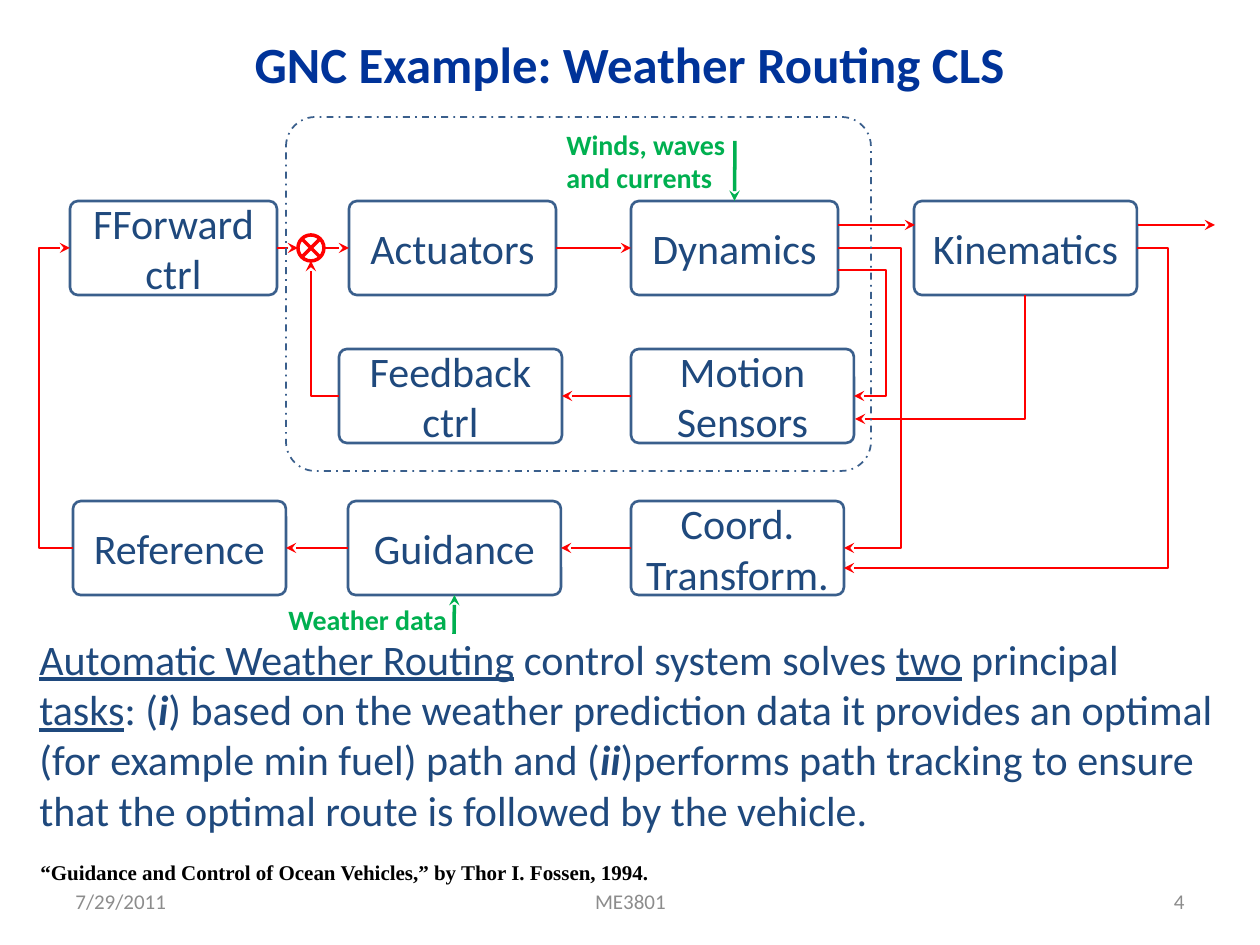
from dataclasses import dataclass
from typing import Optional

from lxml import etree
from pptx import Presentation
from pptx.dml.color import RGBColor
from pptx.enum.dml import MSO_LINE
from pptx.enum.shapes import MSO_CONNECTOR, MSO_SHAPE
from pptx.enum.text import MSO_ANCHOR, MSO_AUTO_SIZE, PP_ALIGN
from pptx.oxml.ns import qn
from pptx.util import Emu, Pt

STRAIGHT, ELBOW = MSO_CONNECTOR.STRAIGHT, MSO_CONNECTOR.ELBOW
ROUNDED, JUNCTION = MSO_SHAPE.ROUNDED_RECTANGLE, MSO_SHAPE.FLOWCHART_SUMMING_JUNCTION
DASH_DOT = MSO_LINE.DASH_DOT
LEFT, CENTER, RIGHT = PP_ALIGN.LEFT, PP_ALIGN.CENTER, PP_ALIGN.RIGHT
TOP, MIDDLE = MSO_ANCHOR.TOP, MSO_ANCHOR.MIDDLE
GROW, FIXED = MSO_AUTO_SIZE.SHAPE_TO_FIT_TEXT, MSO_AUTO_SIZE.NONE
ON_TOP, ON_LEFT, ON_BOTTOM, ON_RIGHT = range(4)
PX_PER_INCH = 126


@dataclass(frozen=True)
class Theme:
    font: str = "Calibri"
    serif: str = "Times New Roman"
    title: str = "003399"
    text: str = "1F497D"
    outline: str = "3A5F8C"
    signal: str = "FF0000"
    weather: str = "00B050"
    footer: str = "8C8C8C"
    citation: str = "000000"
    title_size: int = 29
    body_size: int = 24
    label_size: int = 16
    small_size: int = 12
    corner: float = 0.083


THEME = Theme()


@dataclass(frozen=True)
class Block:
    name: str
    left: int
    top: int
    width: int
    height: int = 94


@dataclass(frozen=True)
class Label:
    area: tuple
    spans: tuple  # (text, extra format) pairs
    size: int
    color: str
    align: int = LEFT
    anchor: int = TOP
    fit: int = GROW
    bold: bool = False
    font: str = THEME.font


@dataclass(frozen=True)
class Wire:
    start: tuple
    end: tuple
    source: Optional[tuple] = None  # (block name, side)
    target: Optional[tuple] = None
    via: Optional[int] = None  # x of the vertical run
    corner: bool = False  # one bend: horizontal, then vertical
    arrow: str = "a:tailEnd"
    color: str = THEME.signal
    weight: float = 1.25


def px(value: int) -> Emu:
    return Emu(round(value * 914400 / PX_PER_INCH))


def write(frame, label: Label) -> None:
    frame.word_wrap = True
    frame.vertical_anchor = label.anchor
    frame.auto_size = label.fit
    para = frame.paragraphs[0]
    para.alignment = label.align
    for text, extra in label.spans:
        span = para.add_run()
        span.text = text
        formats = {"name": label.font, "size": Pt(label.size), "bold": label.bold, **extra}
        for key, value in formats.items():
            setattr(span.font, key, value)
        span.font.color.rgb = RGBColor.from_string(label.color)


def draw_label(page, label: Label) -> None:
    box = page.shapes.add_textbox(*map(px, label.area))
    write(box.text_frame, label)


def draw_outline(page, kind, area: tuple, color: str, weight: float):
    box = page.shapes.add_shape(kind, *map(px, area))
    box.shadow.inherit = False
    box.fill.background()
    box.line.color.rgb = RGBColor.from_string(color)
    box.line.width = Pt(weight)
    if kind == ROUNDED:
        box.adjustments[0] = THEME.corner
    return box


def draw_block(page, block: Block):
    area = (block.left, block.top, block.width, block.height)
    box = draw_outline(page, ROUNDED, area, THEME.outline, 1.5)
    write(box.text_frame, Label(area, ((block.name, {}),), THEME.body_size, THEME.text,
                                CENTER, MIDDLE, FIXED))
    return box


def draw_wire(page, wire: Wire, boxes: dict) -> None:
    kind = ELBOW if wire.corner or wire.via is not None else STRAIGHT
    line = page.shapes.add_connector(kind, *map(px, wire.start + wire.end))
    if wire.source:
        line.begin_connect(boxes[wire.source[0]], wire.source[1])
    if wire.target:
        line.end_connect(boxes[wire.target[0]], wire.target[1])
    line.line.color.rgb = RGBColor.from_string(wire.color)
    line.line.width = Pt(wire.weight)
    properties = line.element.spPr
    geometry = properties.find(qn("a:prstGeom"))
    if wire.corner:
        geometry.set("prst", "bentConnector2")
    elif wire.via is not None:
        share = (wire.via - wire.start[0]) / (wire.end[0] - wire.start[0])
        etree.SubElement(geometry.find(qn("a:avLst")), qn("a:gd"),
                         name="adj1", fmla=f"val {round(share * 100000)}")
    etree.SubElement(properties.find(qn("a:ln")), qn(wire.arrow), type="stealth")
    etree.SubElement(properties, qn("a:effectLst"))


BLOCKS = (
    Block("FForward ctrl", 70, 201, 207),
    Block("Actuators", 349, 201, 207),
    Block("Dynamics", 631, 201, 207),
    Block("Kinematics", 914, 201, 223),
    Block("Feedback ctrl", 339, 349, 223),
    Block("Motion Sensors", 631, 349, 223),
    Block("Reference", 73, 501, 213),
    Block("Guidance", 348, 501, 213),
    Block("Coord. Transform.", 631, 501, 213),
)

WIRES = (
    # Straight signals
    Wire((277, 248), (298, 248), source=("FForward ctrl", ON_RIGHT)),
    Wire((324, 248), (349, 248), target=("Actuators", ON_LEFT)),
    Wire((556, 248), (631, 248), ("Actuators", ON_RIGHT), ("Dynamics", ON_LEFT)),
    Wire((838, 225), (915, 225)),
    Wire((1138, 225), (1215, 225)),
    Wire((631, 396), (562, 396), ("Motion Sensors", ON_LEFT), ("Feedback ctrl", ON_RIGHT)),
    Wire((631, 548), (561, 548), ("Coord. Transform.", ON_LEFT), ("Guidance", ON_RIGHT)),
    Wire((348, 548), (286, 548), ("Guidance", ON_LEFT), ("Reference", ON_RIGHT)),
    # Loops with a vertical run
    Wire((1137, 248), (844, 568), via=1168),
    Wire((838, 248), (844, 548), via=901),
    Wire((838, 270), (854, 396), via=886),
    Wire((73, 548), (70, 248), via=39),
    # Single bends
    Wire((339, 396), (311, 261), corner=True),
    Wire((855, 419), (1025, 295), corner=True, arrow="a:headEnd"),
    # Weather inputs
    Wire((735, 141), (735, 201), target=("Dynamics", ON_TOP), color=THEME.weather, weight=2),
    Wire((454, 634), (454, 595), target=("Guidance", ON_BOTTOM), color=THEME.weather, weight=2),
)

UNDERLINED = {"underline": True}
NUMERAL = {"bold": True, "italic": True}
TASKS = (
    ("Automatic Weather Routing", UNDERLINED), (" control system solves ", {}),
    ("two", UNDERLINED), (" principal ", {}), ("tasks", UNDERLINED), (": (", {}),
    ("i", NUMERAL),
    (") based on the weather prediction data it provides an optimal "
     "(for example min fuel) path and (", {}),
    ("ii", NUMERAL),
    (")performs path tracking to ensure that the optimal route is followed by the vehicle.", {}),
)
CITATION = "“Guidance and Control of Ocean Vehicles,” by Thor I. Fossen, 1994."
FOOTERS = (("7/29/2011", 63, 294, LEFT), ("ME3801", 431, 399, CENTER), ("4", 903, 294, RIGHT))

LABELS = (
    Label((0, 0, 1260, 126), (("GNC Example: Weather Routing CLS", {}),),
          THEME.title_size, THEME.title, CENTER, MIDDLE, FIXED, True),
    Label((554, 121, 190, 81), (("Winds, waves and currents", {}),),
          THEME.label_size, THEME.weather, bold=True),
    Label((276, 596, 190, 47), (("Weather data", {}),),
          THEME.label_size, THEME.weather, bold=True),
    Label((27, 627, 1210, 217), TASKS, THEME.body_size, THEME.text),
    Label((28, 853, 1186, 63), ((CITATION, {}),),
          THEME.small_size, THEME.citation, bold=True, font=THEME.serif),
    *(Label((left, 876, width, 50), ((text, {}),), THEME.small_size, THEME.footer,
            align, MIDDLE, FIXED) for text, left, width, align in FOOTERS),
)


def main() -> None:
    deck = Presentation()
    deck.slide_width, deck.slide_height = px(1260), px(945)
    page = deck.slides.add_slide(deck.slide_layouts[6])

    # Control loop
    boxes = {block.name: draw_block(page, block) for block in BLOCKS}
    draw_outline(page, JUNCTION, (298, 235, 26, 26), THEME.signal, 2)
    for wire in WIRES:
        draw_wire(page, wire, boxes)
    frame = draw_outline(page, ROUNDED, (286, 117, 585, 354), THEME.outline, 1)
    frame.line.dash_style = DASH_DOT

    # Title, notes and footer
    for label in LABELS:
        draw_label(page, label)
    deck.save("out.pptx")


if __name__ == "__main__":
    main()
